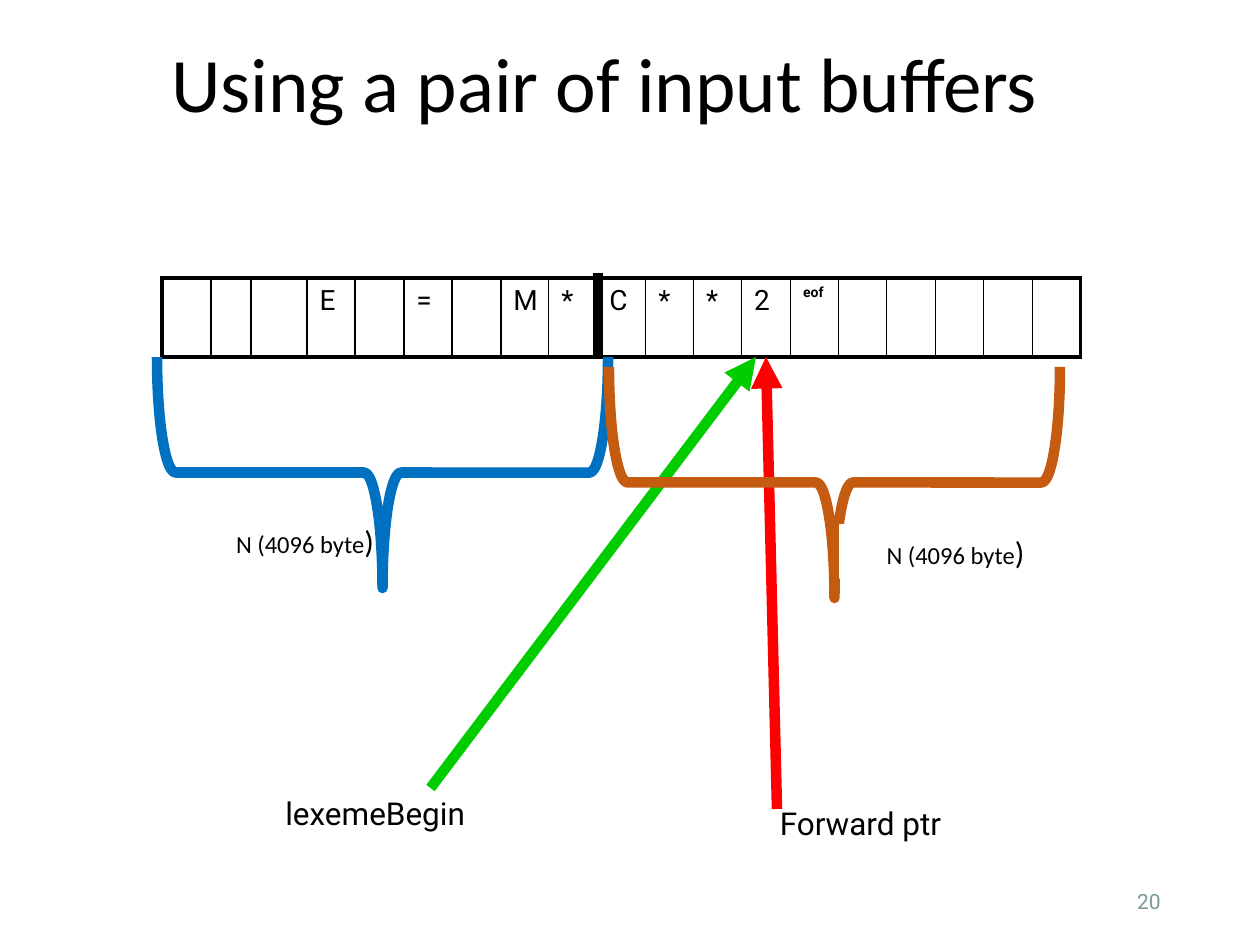
from pptx import Presentation
from pptx import util as u
from pptx.dml.color import RGBColor
from pptx.enum import shapes, text
from pptx.oxml.ns import qn
from lxml import etree

SCALE = 914400 / 126
BLACK = RGBColor(0x00, 0x00, 0x00)
WHITE = RGBColor(0xFF, 0xFF, 0xFF)
GREEN = RGBColor(0x00, 0xCC, 0x00)
RED = RGBColor(0xFF, 0x00, 0x00)
BLUE = RGBColor(0x00, 0x70, 0xC0)
ORANGE = RGBColor(0xC5, 0x5A, 0x11)
GREY = RGBColor(0x7B, 0x98, 0x99)
LEFT, CENTER, RIGHT = text.PP_ALIGN.LEFT, text.PP_ALIGN.CENTER, text.PP_ALIGN.RIGHT
MIDDLE, TOP = text.MSO_ANCHOR.MIDDLE, text.MSO_ANCHOR.TOP
CELLS = ["", "", "", "E", "", "=", "", "M", "*", "C", "*", "*", "2", "eof",
         "", "", "", "", ""]


def px(*lengths):
    """Turn pixel lengths into EMU."""
    return [u.Emu(round(length * SCALE)) for length in lengths]


def style_run(run, size, font, color=BLACK, bold=False):
    """Set the font of one run."""
    run.font.size = u.Pt(size)
    run.font.name = font
    run.font.color.rgb = color
    run.font.bold = bold


def add_label(slide, box, words, size, font="Roboto", color=BLACK, align=LEFT, anchor=TOP):
    """Add a line of plain text."""
    label = slide.shapes.add_textbox(*px(*box))
    frame = label.text_frame
    frame.word_wrap = True
    frame.vertical_anchor = anchor
    frame.text = words
    frame.paragraphs[0].alignment = align
    style_run(frame.paragraphs[0].runs[0], size, font, color)
    return label


def add_border(cell, side, width):
    """Draw one black edge of a cell."""
    edge = etree.SubElement(cell._tc.get_or_add_tcPr(), qn(f"a:ln{side}"), w=str(u.Pt(width)))
    fill = etree.SubElement(edge, qn("a:solidFill"))
    etree.SubElement(fill, qn("a:srgbClr"), val=str(BLACK))


def add_buffer(slide):
    """Add the buffer pair as a one-row table."""
    edges = [162, 211, 251] + [307 + round(774 * i / 16) for i in range(17)]
    last = len(CELLS) - 1
    frame = slide.shapes.add_table(1, len(CELLS), *px(edges[0], 278, edges[-1] - edges[0], 79))
    table = frame.table
    table.first_row = table.horz_banding = False
    for i, symbol in enumerate(CELLS):
        table.columns[i].width = px(edges[i + 1] - edges[i])[0]
        cell = table.cell(0, i)
        add_border(cell, "L", 2.25 if i == 0 else 1)
        add_border(cell, "R", 2.25 if i == last else 1)
        add_border(cell, "T", 2.25)
        add_border(cell, "B", 2.25)
        cell.fill.background()
        if symbol:
            cell.text_frame.text = symbol
            is_end = symbol == "eof"
            style_run(cell.text_frame.paragraphs[0].runs[0], 8 if is_end else 16, "Roboto", bold=is_end)


def add_line(slide, ends, color, arrow=False):
    """Add a thick line, with an arrowhead at its end if asked."""
    line = slide.shapes.add_connector(shapes.MSO_CONNECTOR.STRAIGHT, *px(*ends))
    line.line.color.rgb = color
    line.line.width = u.Pt(6)
    if arrow:
        etree.SubElement(line.line._get_or_add_ln(), qn("a:tailEnd"), type="triangle")
    etree.SubElement(line._element.spPr, qn("a:effectLst"))
    return line


def add_brace(slide, left, top, color):
    """Add a brace that points down."""
    brace = slide.shapes.add_shape(shapes.MSO_SHAPE.RIGHT_BRACE, *px(left, top, 231, 451))
    brace.rotation = 90
    brace.adjustments[0] = 0.08
    brace.adjustments[1] = 0.5
    brace.shadow.inherit = False
    brace.fill.background()
    brace.line.color.rgb = color
    brace.line.width = u.Pt(6)


def add_size_note(slide, box):
    """Add a white box that gives the size of a buffer."""
    note = slide.shapes.add_shape(shapes.MSO_SHAPE.RECTANGLE, *px(*box))
    note.shadow.inherit = False
    note.fill.solid()
    note.fill.fore_color.rgb = WHITE
    note.line.color.rgb = WHITE
    note.line.width = u.Pt(1)
    note.text_frame.vertical_anchor = MIDDLE
    paragraph = note.text_frame.paragraphs[0]
    paragraph.alignment = CENTER
    for words, size in (("N (4096 byte", 14), (")", 18)):
        run = paragraph.add_run()
        run.text = words
        style_run(run, size, "Calibri")


def main():
    """Build the slide and save it."""
    deck = Presentation()
    deck.slide_width, deck.slide_height = px(1260, 945)
    slide = deck.slides.add_slide(deck.slide_layouts[6])

    title = add_label(slide, (159, 29, 1074, 117), "Using a pair of input buffers", 44, "Calibri", anchor=MIDDLE)
    title.text_frame.paragraphs[0].line_spacing = 0.9
    add_buffer(slide)
    add_label(slide, (890, 876, 283, 50), "20", 12, color=GREY, align=RIGHT, anchor=MIDDLE)

    lexeme_begin = add_label(slide, (273, 788, 315, 50), "lexemeBegin", 18)
    add_label(slide, (703, 798, 315, 50), "Forward ptr", 18, align=CENTER)
    lexeme_arrow = add_line(slide, (431, 788, 756, 357), GREEN, arrow=True)
    lexeme_arrow.begin_connect(lexeme_begin, 0)
    add_line(slide, (777, 809, 766, 357), RED, arrow=True)
    add_line(slide, (598, 273, 598, 357), BLACK)

    add_size_note(slide, (158, 514, 294, 53))
    add_brace(slide, 267, 247, BLUE)
    add_brace(slide, 719, 257, ORANGE)
    add_size_note(slide, (840, 525, 231, 53))

    deck.save("out.pptx")


if __name__ == "__main__":
    main()
